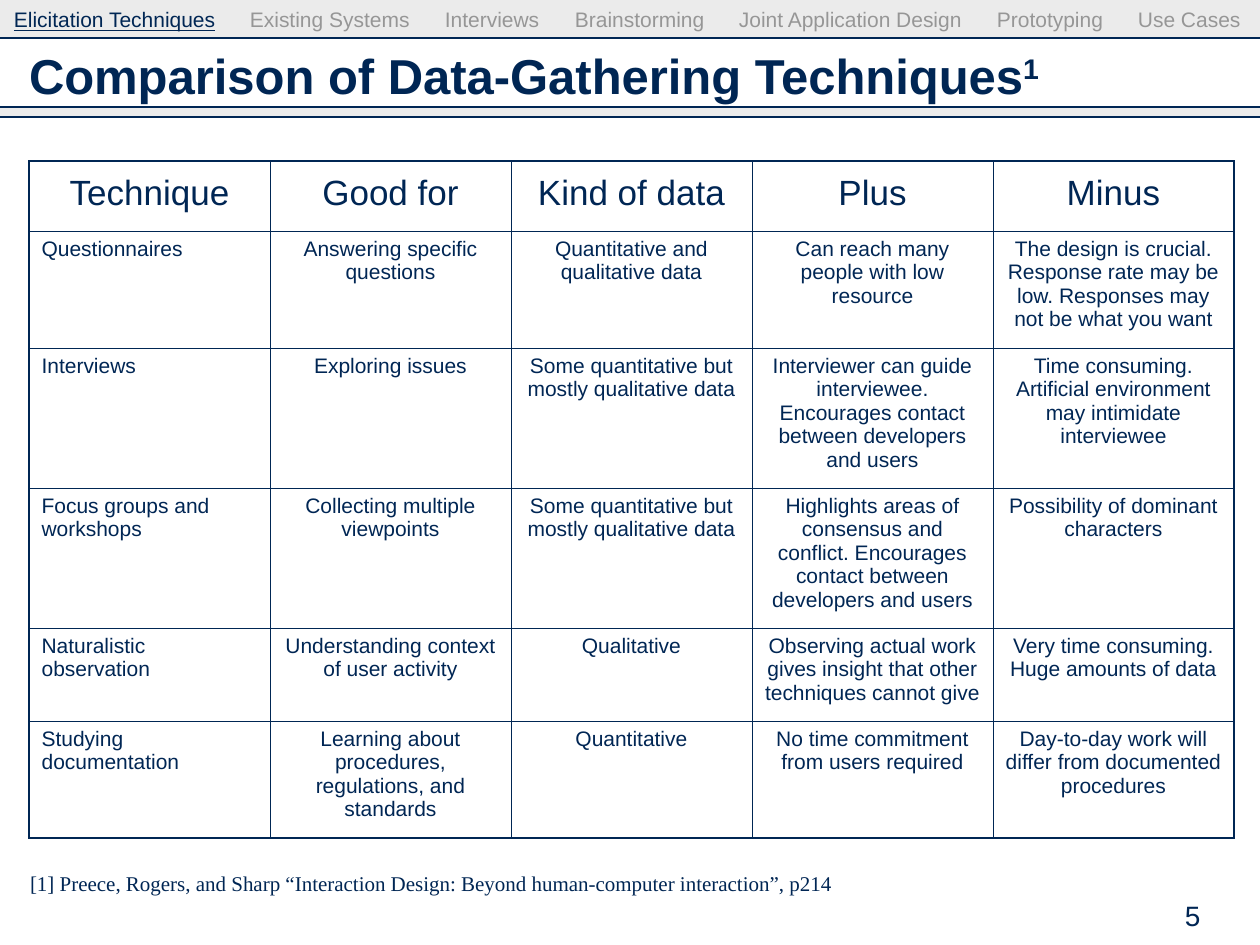
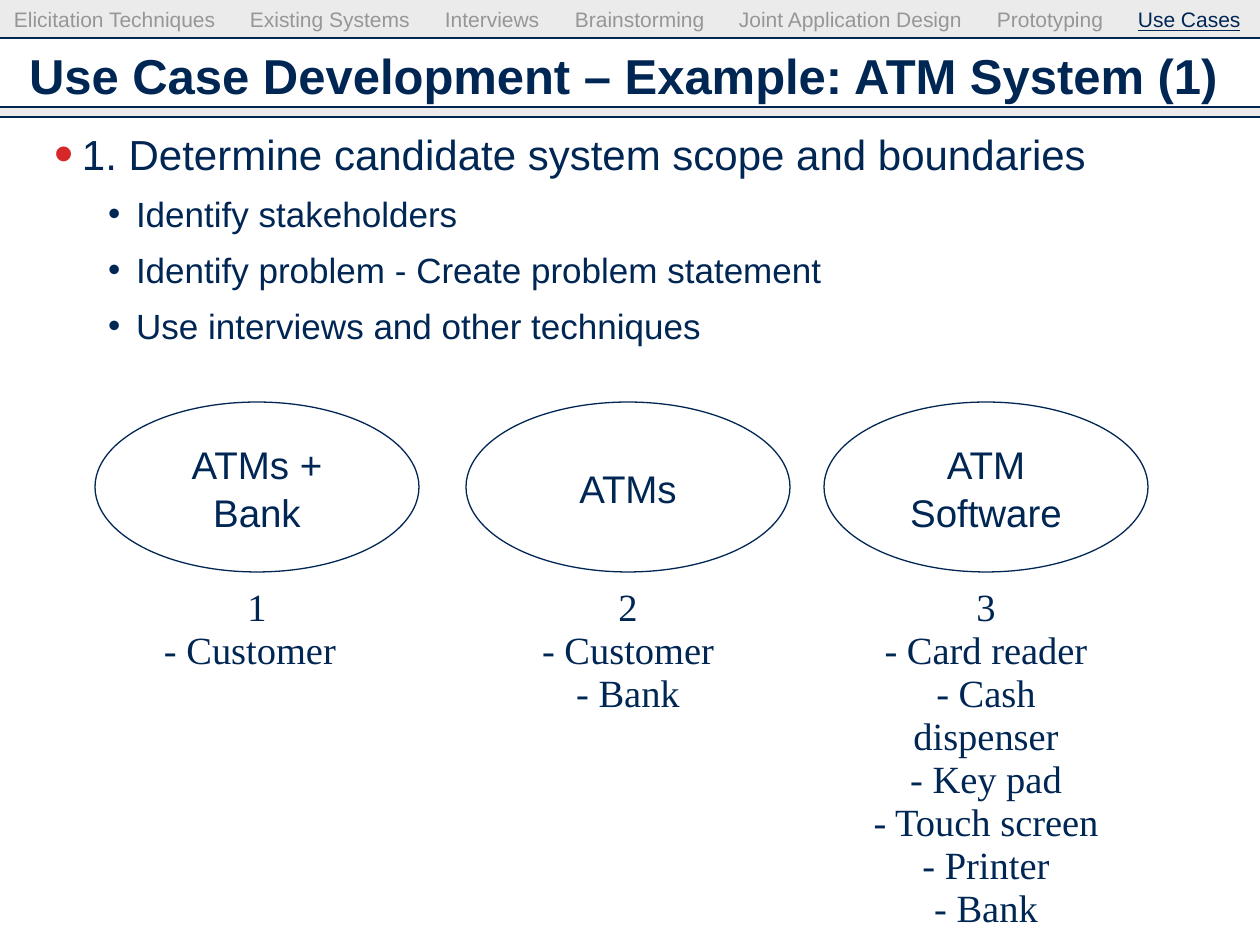
from lxml import etree
from pptx import Presentation
from pptx.dml.color import RGBColor
from pptx.enum.shapes import MSO_CONNECTOR, MSO_SHAPE
from pptx.enum.text import MSO_ANCHOR, MSO_AUTO_SIZE, PP_ALIGN
from pptx.oxml.ns import qn
from pptx.util import Pt

PX_PER_INCH = 126
SLIDE_W, SLIDE_H = 1260, 945
COLORS = {"navy": "002654", "band": "CDCDCD", "muted": "969696", "red": "D62828"}
SERIF = "Times New Roman"
CENTER = PP_ALIGN.CENTER
TEXT_INSETS = (13, 6, 13, 6)  # left, top, right, bottom
NAVIGATION_INSETS = (13, 0, 0, 6)
SCOPE_INSETS = (11, 5, 11, 5)

# Section name and the left edge of its label
SECTIONS = [
    ("Elicitation Techniques", 14), ("Existing Systems", 250), ("Interviews", 445),
    ("Brainstorming", 575), ("Joint Application Design", 739),
    ("Prototyping", 997), ("Use Cases", 1138),
]
BANDS = [(0, 38), (107, 9)]  # top, height
RULES = [38, 107, 117]

COMPARISON_TITLE = "Comparison of Data-Gathering Techniques"
COMPARISON = [
    ("Technique", "Good for", "Kind of data", "Plus", "Minus"),
    ("Questionnaires", "Answering specific questions", "Quantitative and qualitative data",
     "Can reach many people with low resource",
     "The design is crucial. Response rate may be low. Responses may not be what you want"),
    ("Interviews", "Exploring issues", "Some quantitative but mostly qualitative data",
     "Interviewer can guide interviewee. Encourages contact between developers and users",
     "Time consuming. Artificial environment may intimidate interviewee"),
    ("Focus groups and workshops", "Collecting multiple viewpoints",
     "Some quantitative but mostly qualitative data",
     "Highlights areas of consensus and conflict. Encourages contact between developers and users",
     "Possibility of dominant characters"),
    ("Naturalistic observation", "Understanding context of user activity", "Qualitative",
     "Observing actual work gives insight that other techniques cannot give",
     "Very time consuming. Huge amounts of data"),
    ("Studying documentation", "Learning about procedures, regulations, and standards",
     "Quantitative", "No time commitment from users required",
     "Day-to-day work will differ from documented procedures"),
]
ROW_HEIGHTS = [70, 117, 140, 140, 93, 117]
COLUMN_W = 241
FOOTNOTE = ("[1] Preece, Rogers, and Sharp “Interaction Design: "
            "Beyond human-computer interaction”, p214")
PAGE_NUMBER = "5"

ATM_TITLE = "Use Case Development – Example: ATM System (1)"
STEP = "1. Determine candidate system scope and boundaries"
SUBSTEPS = [
    "Identify stakeholders",
    "Identify problem - Create problem statement",
    "Use interviews and other techniques",
]
SCOPES = [
    {"name": "ATMs + Bank", "left": 95, "list_size": (208, 203), "align": PP_ALIGN.LEFT,
     "actors": ["Customer"]},
    {"name": "ATMs", "left": 466, "list_size": (194, 231), "align": CENTER,
     "actors": ["Customer", "Bank"]},
    {"name": "ATM Software", "left": 824, "list_size": (275, 306), "align": CENTER,
     "actors": ["Card reader", "Cash dispenser", "Key pad", "Touch screen", "Printer", "Bank"]},
]
OVAL_TOP, OVAL_W, OVAL_H = 402, 324, 170
ACTORS_TOP = 582


def rgb(name):
    return RGBColor.from_string(COLORS[name])


def emu(length):
    return round(length * 914400 / PX_PER_INCH)


def px(*lengths):
    return [emu(length) for length in lengths]


def write(frame, text, size, color="navy", font="Arial", bold=False, align=None,
          spacing=None, before=None):
    """Add a paragraph; text is a string or a list of (string, run options)."""
    paragraph = frame.paragraphs[-1]
    if paragraph.runs:
        paragraph = frame.add_paragraph()
        if before:
            paragraph.space_before = Pt(before)
    if align is not None:
        paragraph.alignment = align
    if spacing:
        paragraph.line_spacing = spacing
    for piece, options in [(text, {})] if isinstance(text, str) else text:
        run = paragraph.add_run()
        run.text = piece
        run.font.size, run.font.name, run.font.bold = Pt(size), font, bold
        run.font.color.rgb = rgb(options.get("color", color))
        if options.get("underline"):
            run.font.underline = True
        if "baseline" in options:
            run._r.get_or_add_rPr().set("baseline", str(options["baseline"]))
    return paragraph


def set_insets(frame, insets):
    (frame.margin_left, frame.margin_top,
     frame.margin_right, frame.margin_bottom) = px(*insets)


def add_text_frame(slide, left, top, width, height, wrap=True, insets=TEXT_INSETS):
    frame = slide.shapes.add_textbox(*px(left, top, width, height)).text_frame
    frame.word_wrap = wrap
    set_insets(frame, insets)
    return frame


def add_bullet(paragraph, left, hanging, color, percent=100):
    props = paragraph._p.get_or_add_pPr()
    props.set("marL", str(emu(left)))
    props.set("indent", str(emu(-hanging)))
    bullet_color = etree.SubElement(props, qn("a:buClr"))
    etree.SubElement(bullet_color, qn("a:srgbClr"), val=COLORS[color])
    etree.SubElement(props, qn("a:buSzPct"), val=str(percent * 1000))
    etree.SubElement(props, qn("a:buFont"), typeface="Arial")
    etree.SubElement(props, qn("a:buChar"), char="•")


def add_frame_lines(slide):
    for top, height in BANDS:
        band = slide.shapes.add_shape(MSO_SHAPE.RECTANGLE, *px(0, top, SLIDE_W, height))
        band.shadow.inherit = False
        band.fill.solid()
        band.fill.fore_color.rgb = rgb("band")
        band.line.fill.background()
        fill_color = band._element.spPr.find(qn("a:solidFill"))[0]
        etree.SubElement(fill_color, qn("a:alpha"), val="40000")
    for y in RULES:
        rule = slide.shapes.add_connector(MSO_CONNECTOR.STRAIGHT, *px(0, y, SLIDE_W, y))
        rule.line.color.rgb = rgb("navy")
        rule.line.width = Pt(0.75)
        etree.SubElement(rule._element.spPr, qn("a:effectLst"))


def add_navigation(slide, current):
    start = SECTIONS[0][1]
    frame = add_text_frame(slide, 1, 7, SLIDE_W - 1, 31, insets=NAVIGATION_INSETS)
    pieces = []
    for section, _ in SECTIONS:
        if pieces:
            pieces.append(("\t", {}))
        is_current = section == current
        pieces.append((section, {"color": "navy", "underline": True} if is_current else {}))
    paragraph = write(frame, pieces, 12, color="muted")
    tabs = etree.SubElement(paragraph._p.get_or_add_pPr(), qn("a:tabLst"))
    for _, left in SECTIONS[1:]:
        etree.SubElement(tabs, qn("a:tab"), pos=str(emu(left - start)), algn="l")


def add_section_slide(deck, title, section):
    slide = deck.slides.add_slide(deck.slide_layouts[5])
    add_frame_lines(slide)
    heading = slide.shapes.title
    heading.left, heading.top, heading.width, heading.height = px(16, 33, 1227, 83)
    frame = heading.text_frame
    frame.auto_size = MSO_AUTO_SIZE.NONE
    frame.word_wrap = True
    frame.vertical_anchor = MSO_ANCHOR.MIDDLE
    set_insets(frame, TEXT_INSETS)
    write(frame, title, 28, bold=True, align=PP_ALIGN.LEFT)
    add_navigation(slide, section)
    return slide


def set_borders(cell, widths):
    """Draw cell borders; widths are points for left, right, top, bottom."""
    props = cell._tc.get_or_add_tcPr()
    for side, width in zip("LRTB", widths):
        border = etree.SubElement(props, qn(f"a:ln{side}"), w=str(Pt(width)))
        fill = etree.SubElement(border, qn("a:solidFill"))
        etree.SubElement(fill, qn("a:srgbClr"), val=COLORS["navy"])


def add_comparison_table(slide):
    rows, columns = len(COMPARISON), len(COMPARISON[0])
    table = slide.shapes.add_table(
        rows, columns, *px(29, 161, COLUMN_W * columns, sum(ROW_HEIGHTS))).table
    table.first_row = table.horz_banding = False
    for column in table.columns:
        column.width = emu(COLUMN_W)
    for r, texts in enumerate(COMPARISON):
        table.rows[r].height = emu(ROW_HEIGHTS[r])
        for c, text in enumerate(texts):
            cell = table.cell(r, c)
            outer_sides = (c == 0, c == columns - 1, r == 0, r == rows - 1)
            set_borders(cell, [1.08 if outer else 0.45 for outer in outer_sides])
            cell.fill.background()
            if r == 0:
                write(cell.text_frame, text, 20, align=CENTER, spacing=Pt(26))
            else:
                write(cell.text_frame, text, 12, align=CENTER if c else PP_ALIGN.LEFT)


def build_comparison(deck):
    title = [(COMPARISON_TITLE, {}), ("1", {"baseline": 30000})]
    slide = add_section_slide(deck, title, "Elicitation Techniques")
    add_comparison_table(slide)
    write(add_text_frame(slide, 17, 865, 840, 37), FOOTNOTE, 12, font=SERIF)
    write(add_text_frame(slide, 1172, 893, 88, 43), PAGE_NUMBER, 16)


def add_scope(slide, number, scope):
    oval = slide.shapes.add_shape(
        MSO_SHAPE.OVAL, *px(scope["left"], OVAL_TOP, OVAL_W, OVAL_H))
    oval.shadow.inherit = False
    oval.fill.background()
    oval.line.color.rgb = rgb("navy")
    oval.line.width = Pt(0.75)
    frame = oval.text_frame
    frame.word_wrap = True
    frame.vertical_anchor = MSO_ANCHOR.MIDDLE
    set_insets(frame, SCOPE_INSETS)
    write(frame, scope["name"], 22, align=CENTER, spacing=1.04)

    width, height = scope["list_size"]
    left = scope["left"] + (OVAL_W - width) / 2
    actors = add_text_frame(slide, left, ACTORS_TOP, width, height,
                            wrap=scope["align"] == PP_ALIGN.LEFT, insets=SCOPE_INSETS)
    write(actors, str(number), 22, font=SERIF, align=CENTER, spacing=0.93)
    for actor in scope["actors"]:
        write(actors, f"- {actor}", 22, font=SERIF, align=scope["align"], spacing=0.93)


def build_atm_example(deck):
    slide = add_section_slide(deck, ATM_TITLE, "Use Cases")
    steps = add_text_frame(slide, 16, 127, 1227, 769)
    add_bullet(write(steps, STEP, 24, spacing=Pt(26)), 53, 28, "red", 130)
    for substep in SUBSTEPS:
        paragraph = write(steps, substep, 20, spacing=Pt(26), before=6)
        paragraph.level = 1
        add_bullet(paragraph, 107, 28, "navy")
    for number, scope in enumerate(SCOPES, start=1):
        add_scope(slide, number, scope)


def main():
    deck = Presentation()
    deck.slide_width, deck.slide_height = px(SLIDE_W, SLIDE_H)
    build_comparison(deck)
    build_atm_example(deck)
    deck.save("out.pptx")


if __name__ == "__main__":
    main()
